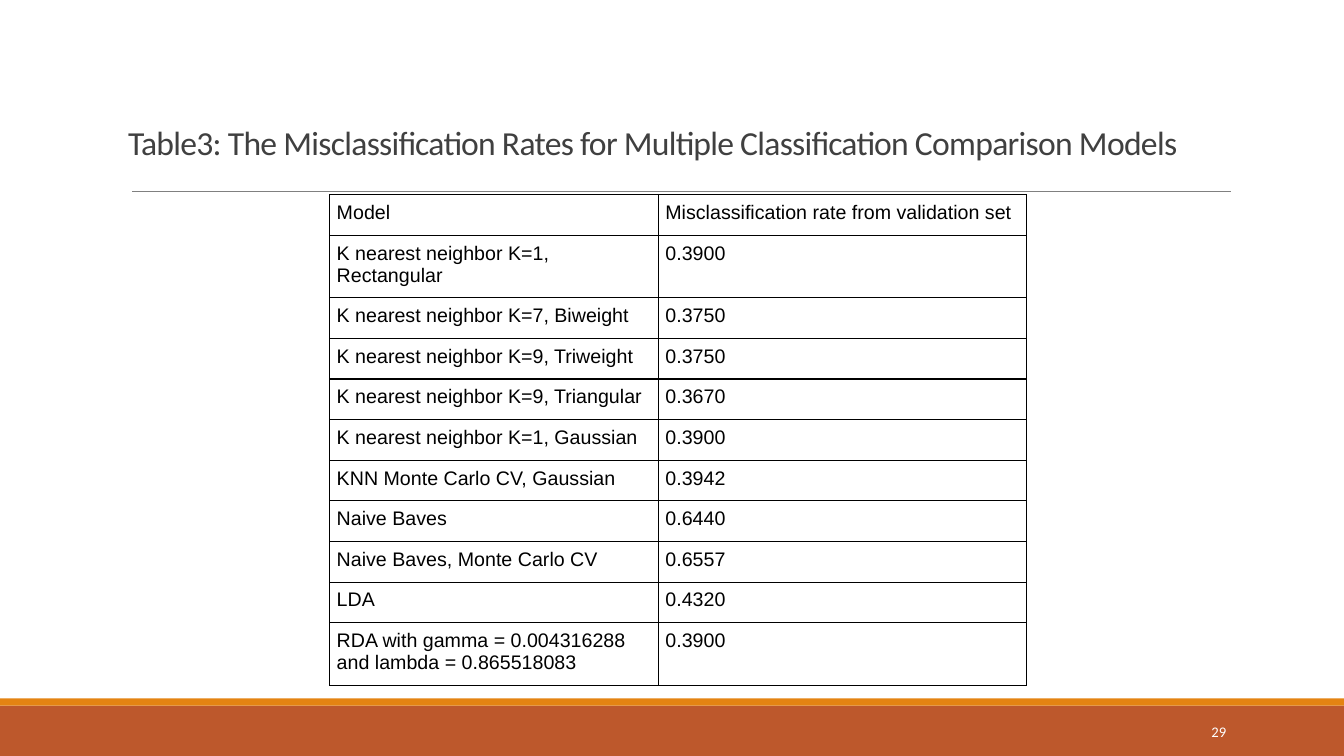
import pptx
import pptx.dml.color
import pptx.enum.shapes
import pptx.enum.text
import pptx.oxml
import pptx.oxml.ns
import pptx.util

Inches = pptx.util.Inches
Pt = pptx.util.Pt
ALIGN = pptx.enum.text.PP_ALIGN
ANCHOR = pptx.enum.text.MSO_ANCHOR

RATES = [
    ("Model", "Misclassification rate from validation set"),
    ("K nearest neighbor K=1, Rectangular", "0.3900"),
    ("K nearest neighbor K=7, Biweight", "0.3750"),
    ("K nearest neighbor K=9, Triweight", "0.3750"),
    ("K nearest neighbor K=9, Triangular", "0.3670"),
    ("K nearest neighbor K=1, Gaussian", "0.3900"),
    ("KNN Monte Carlo CV, Gaussian", "0.3942"),
    ("Naive Baves", "0.6440"),
    ("Naive Baves, Monte Carlo CV", "0.6557"),
    ("LDA", "0.4320"),
    ("RDA with gamma = 0.004316288 and lambda = 0.865518083", "0.3900"),
]
TWO_LINE_ROWS = (1, 10)
TWO_LINE_HEIGHT = 0.62


def color(hex_code):
    """Return the colour for a hex string."""
    return pptx.dml.color.RGBColor.from_string(hex_code)


def write(frame, text, font, size, hex_code, align=ALIGN.LEFT):
    """Put one formatted paragraph in a text frame and return it."""
    frame.text = text
    frame.word_wrap = True
    paragraph = frame.paragraphs[0]
    paragraph.alignment = align
    style = paragraph.runs[0].font
    style.name, style.size, style.bold = font, Pt(size), False
    style.color.rgb = color(hex_code)
    return paragraph


def add_band(slide, left, top, width, height, hex_code):
    """Draw a plain filled rectangle."""
    band = slide.shapes.add_shape(
        pptx.enum.shapes.MSO_SHAPE.RECTANGLE,
        Inches(left), Inches(top), Inches(width), Inches(height))
    band.shadow.inherit = False
    band.fill.solid()
    band.fill.fore_color.rgb = color(hex_code)
    band.line.fill.background()


def add_footer(slide, left, top, width, height, number):
    """Draw the two footer bands and the slide number."""
    stripe = 0.07
    add_band(slide, left, top + stripe, width, height - stripe, "BD582C")
    add_band(slide, left, top, width, stripe, "E48312")
    page = slide.shapes.add_textbox(
        Inches(left + 10.83), Inches(top + 0.13), Inches(1.43), Inches(0.4))
    write(page.text_frame, number, "Calibri", 10.5, "FFFFFF", ALIGN.RIGHT)
    page.text_frame.vertical_anchor = ANCHOR.MIDDLE


def add_heading(slide, left, top, width, height, text):
    """Place the title and the thin rule across it."""
    title = slide.shapes.title
    title.left, title.top = Inches(left), Inches(top)
    title.width, title.height = Inches(width), Inches(height)
    frame = title.text_frame
    paragraph = write(frame, text, "Calibri", 24, "404040")
    paragraph.line_spacing = 0.85
    paragraph.runs[0].font._element.set("spc", "-50")
    frame.auto_size = pptx.enum.text.MSO_AUTO_SIZE.NONE
    frame.vertical_anchor = ANCHOR.BOTTOM
    frame.margin_bottom = Inches(0.84)

    rule_left, rule_top = Inches(left + 0.14), Inches(top + 1.04)
    rule = slide.shapes.add_connector(
        pptx.enum.shapes.MSO_CONNECTOR.STRAIGHT,
        rule_left, rule_top, rule_left + Inches(10.9), rule_top)
    rule.line.color.rgb = color("808080")
    rule.line.width = Pt(0.5)
    rule._element.spPr.append(pptx.oxml.parse_xml(
        "<a:effectLst %s/>" % pptx.oxml.ns.nsdecls("a")))


def set_borders(cell, hex_code, points):
    """Give a cell a solid line on all four sides."""
    properties = cell._tc.get_or_add_tcPr()
    for index, side in enumerate(("lnL", "lnR", "lnT", "lnB")):
        properties.insert(index, pptx.oxml.parse_xml(
            '<a:%s %s w="%d"><a:solidFill><a:srgbClr val="%s"/></a:solidFill></a:%s>'
            % (side, pptx.oxml.ns.nsdecls("a"), Pt(points), hex_code, side)))


def add_rates(slide, left, top, width, height):
    """Build the table of misclassification rates."""
    table = slide.shapes.add_table(
        len(RATES), 2, Inches(left), Inches(top), Inches(width), Inches(height)).table
    table.first_row = table.horz_banding = False
    model_width = 3.26
    table.columns[0].width = Inches(model_width)
    table.columns[1].width = Inches(width - model_width)
    tall = len(TWO_LINE_ROWS)
    single_height = (height - tall * TWO_LINE_HEIGHT) / (len(RATES) - tall)
    for row, values in enumerate(RATES):
        table.rows[row].height = Inches(
            TWO_LINE_HEIGHT if row in TWO_LINE_ROWS else single_height)
        for column, value in enumerate(values):
            cell = table.cell(row, column)
            write(cell.text_frame, value, "Arial", 14, "000000")
            cell.margin_left = cell.margin_right = Inches(0.07)
            cell.margin_top = cell.margin_bottom = Inches(0.07)
            cell.fill.background()
            set_borders(cell, "000000", 1)


def main():
    """Build and save the slide."""
    deck = pptx.Presentation()
    deck.slide_width, deck.slide_height = Inches(13.33), Inches(7.5)
    slide = deck.slides.add_slide(deck.slide_layouts.get_by_name("Title Only"))
    add_footer(slide, 0, 6.93, 13.33, 0.57, "29")
    add_heading(slide, 1.17, 0.86, 11.46, 1.59,
                "Table3: The Misclassification Rates for Multiple "
                "Classification Comparison Models")
    add_rates(slide, 3.27, 1.93, 6.91, 4.87)
    deck.save("out.pptx")


main()
